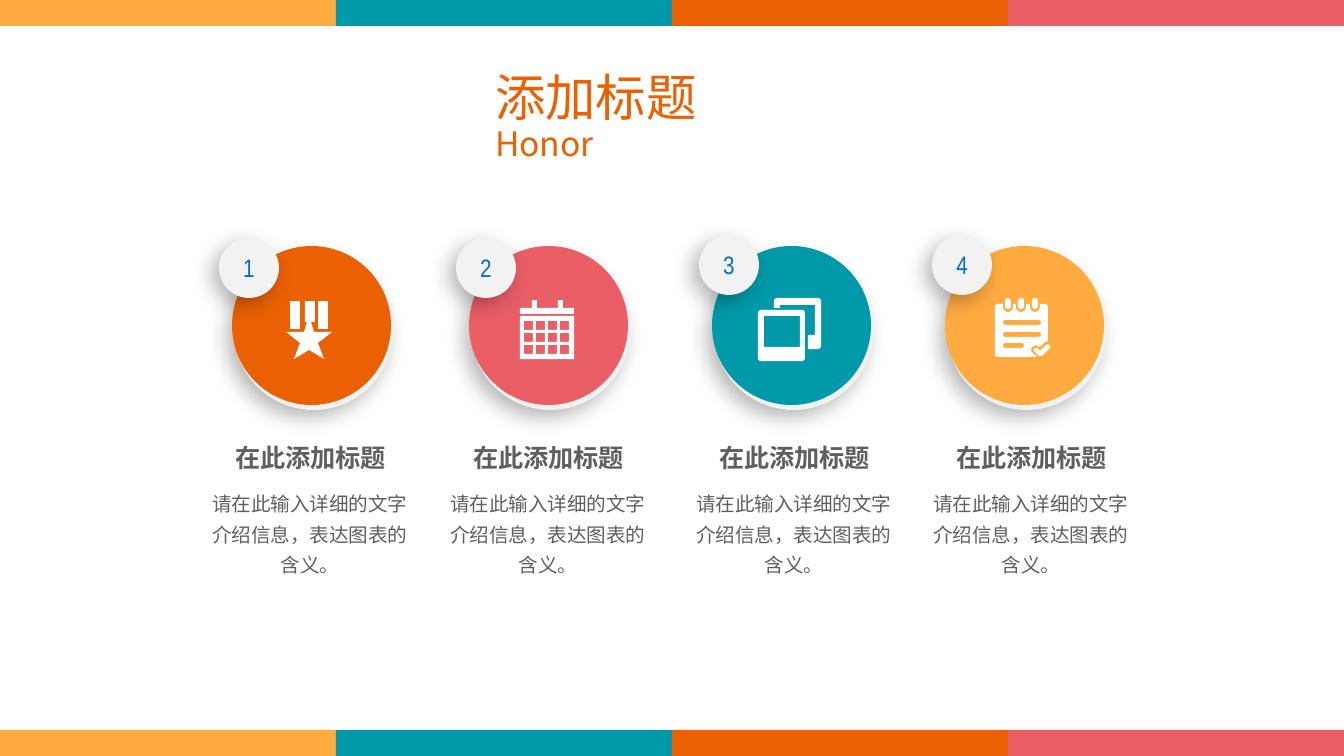
from dataclasses import dataclass
from math import cos, radians, sin

from lxml.etree import SubElement
from pptx import Presentation
from pptx.dml.color import RGBColor
from pptx.enum.shapes import MSO_SHAPE
from pptx.enum.text import MSO_ANCHOR, PP_ALIGN
from pptx.oxml.ns import qn
from pptx.util import Pt

SCALE = 914400 / 134.4
WIDE, HIGH = 1344, 756


@dataclass(frozen=True)
class Theme:
    orange: str = "EA6103"
    rose: str = "EA5E66"
    teal: str = "0099A9"
    amber: str = "FFAB3F"
    white: str = "FFFFFF"
    pale: str = "F2F2F2"
    blue: str = "0070C0"
    grey: str = "5F5F5F"
    font: str = "Noto Sans CJK SC"
    narrow: str = "Arial Narrow"
    title: float = 27
    sub: float = 18
    head: float = 13.5
    body: float = 10.5


THEME = Theme()


def px(n):
    return round(n * SCALE)


def paint(shape, color):
    shape.shadow.inherit = False
    shape.fill.solid()
    shape.fill.fore_color.rgb = RGBColor.from_string(color)
    shape.line.fill.background()
    return shape


def add_shape(shapes, kind, box, color):
    return paint(shapes.add_shape(kind, *map(px, box)), color)


def add_outline(shapes, *loops, color=THEME.white):
    """Draw closed loops as one shape; inner loops become holes."""
    pen = None
    for loop in loops:
        first, *rest = [(px(x), px(y)) for x, y in loop]
        if pen is None:
            pen = shapes.build_freeform(*first, scale=1.0)
        else:
            pen.move_to(*first)
        pen.add_line_segments(rest, close=True)
    return paint(pen.convert_to_shape(), color)


def cast_shadow(shape):
    effects = shape._element.spPr.find(qn("a:effectLst"))
    outer = SubElement(effects, qn("a:outerShdw"), blurRad=str(Pt(12)), dist=str(Pt(5)),
                       dir=str(135 * 60000), algn="tr", rotWithShape="0")
    tone = SubElement(outer, qn("a:srgbClr"), val="000000")
    SubElement(tone, qn("a:alpha"), val="30000")


def add_run(para, text, size, color, font=THEME.font, bold=False):
    run = para.add_run()
    run.text = text
    run.font.size = Pt(size)
    run.font.name = font
    run.font.bold = bold
    run.font.color.rgb = RGBColor.from_string(color)
    SubElement(run._r.get_or_add_rPr(), qn("a:ea"), typeface=font)


def add_text(shapes, box, pitch, align=PP_ALIGN.CENTER, top=5, wrap=False):
    """Add a text box with a fixed line pitch in points; return its paragraph."""
    frame = shapes.add_textbox(*map(px, box)).text_frame
    frame.word_wrap = wrap
    frame.margin_left = frame.margin_right = px(10)
    frame.margin_top, frame.margin_bottom = px(top), px(5)
    para = frame.paragraphs[0]
    para.alignment = align
    para.line_spacing = Pt(pitch)
    return para


def rect(x, y, w, h):
    return [(x, y), (x + w, y), (x + w, y + h), (x, y + h)]


def arc(x, y, r, start, end):
    return [(x + r * cos(radians(start + (end - start) * i / 8)),
             y + r * sin(radians(start + (end - start) * i / 8))) for i in range(9)]


def bar_loop(x, y, w, h):
    r = h / 2
    return arc(x + r, y + r, r, 90, 270) + arc(x + w - r, y + r, r, -90, 90)


def ring_loop(x, y, w, h):
    r = w / 2
    return arc(x + r, y + r, r, 180, 360) + arc(x + r, y + h - r, r, 0, 180)


def draw_medal(shapes):
    for x, h in ((318, 28), (290, 28), (305, 21)):
        add_shape(shapes, MSO_SHAPE.RECTANGLE, (x, 301, 10, h), THEME.white)
    add_outline(shapes, [(309, 315), (314, 332), (332, 332), (318, 343), (324, 359),
                         (309, 350), (294, 359), (300, 343), (286, 332), (304, 332)])


def draw_dates(shapes):
    for x in (532, 558):
        add_shape(shapes, MSO_SHAPE.RECTANGLE, (x, 300, 5, 12), THEME.white)
    add_shape(shapes, MSO_SHAPE.RECTANGLE, (520, 308, 54, 6), THEME.white)
    days = [rect(524 + 12 * col, 321 + 12 * row, 9, 9)
            for row in range(3) for col in range(4)]
    add_outline(shapes, rect(520, 316, 54, 43), *days)


def draw_photos(shapes):
    back = [(774, 308), (774, 300), (776, 298), (819, 298), (821, 300), (821, 347),
            (819, 349), (808, 349), (808, 335), (815, 335), (815, 305), (780, 305),
            (780, 308)]
    front = [(760, 310), (803, 310), (805, 312), (805, 359), (803, 361), (760, 361),
             (758, 359), (758, 312)]
    add_outline(shapes, back, front, rect(764, 316, 36, 31))


def draw_notes(shapes):
    rings = (1008, 1021, 1035)
    page = [(995, 306), (997, 304)]
    for x in rings:
        page += [(x - 5, 304), *arc(x, 307, 5, 180, 0), (x + 5, 304)]
    page += [(1046, 304), (1048, 306), (1048, 341), (1045, 342), (1040, 347),
             (1036, 345), (1032, 347), (1031, 351), (1037, 357), (997, 357), (995, 355)]
    lines = [bar_loop(1003, y, w, 5) for y, w in ((320, 38), (332, 38), (343, 21))]
    tick = [(1050, 348), (1042, 356), (1039, 356), (1034, 351), (1034, 349), (1036, 348),
            (1038, 348), (1040, 351), (1046, 345), (1048, 344), (1050, 346)]
    add_outline(shapes, page, *lines, tick, *[ring_loop(x - 3, 298, 6, 11) for x in rings])


def draw_disc(shapes, x, color):
    group = shapes.add_group_shape().shapes
    cast_shadow(add_shape(group, MSO_SHAPE.OVAL, (x + 2, 251, 159, 159), THEME.pale))
    add_shape(group, MSO_SHAPE.OVAL, (x, 246, 159, 159), color)


def draw_badge(shapes, x, y, num):
    badge = add_shape(shapes, MSO_SHAPE.OVAL, (x, y, 60, 60), THEME.pale)
    cast_shadow(badge)
    frame = badge.text_frame
    frame.vertical_anchor = MSO_ANCHOR.MIDDLE
    para = frame.paragraphs[0]
    para.alignment = PP_ALIGN.CENTER
    add_run(para, str(num), THEME.head, THEME.blue, THEME.narrow)


def draw_copy(shapes, x):
    head = add_text(shapes, (x, 434, 177, 46), 18)
    add_run(head, "在此添加标题", THEME.head, THEME.grey, bold=True)
    body = add_text(shapes, (x - 23, 477, 222, 105), 16.4, top=8, wrap=True)
    add_run(body, "请在此输入详细的文字介绍信息，表达图表的含义。", THEME.body, THEME.grey)


def draw_title(shapes):
    para = add_text(shapes, (485, 54, 337, 74), 20, PP_ALIGN.LEFT, top=35)
    add_run(para, "添加标题", THEME.title, THEME.orange)
    para.add_line_break()
    add_run(para, "Honor", THEME.sub, THEME.orange)


def draw_band(shapes, y):
    group = shapes.add_group_shape().shapes
    for i, color in enumerate((THEME.amber, THEME.teal, THEME.orange, THEME.rose)):
        add_shape(group, MSO_SHAPE.RECTANGLE, (336 * i, y, 336, 26), color)


def main():
    deck = Presentation()
    deck.slide_width, deck.slide_height = px(WIDE), px(HIGH)
    shapes = deck.slides.add_slide(deck.slide_layouts[6]).shapes
    draw_title(shapes)
    # disc left, badge top, text left, disc colour, icon
    items = ((232, 238, 222, THEME.orange, draw_medal),
             (469, 238, 460, THEME.rose, draw_dates),
             (712, 235, 706, THEME.teal, draw_photos),
             (945, 235, 943, THEME.amber, draw_notes))
    for num, (x, top, left, color, icon) in enumerate(items, 1):
        draw_disc(shapes, x, color)
        draw_badge(shapes, x - 13, top, num)
        icon(shapes.add_group_shape().shapes)
        draw_copy(shapes, left)
    for y in (0, HIGH - 26):
        draw_band(shapes, y)
    deck.save("out.pptx")


if __name__ == "__main__":
    main()
